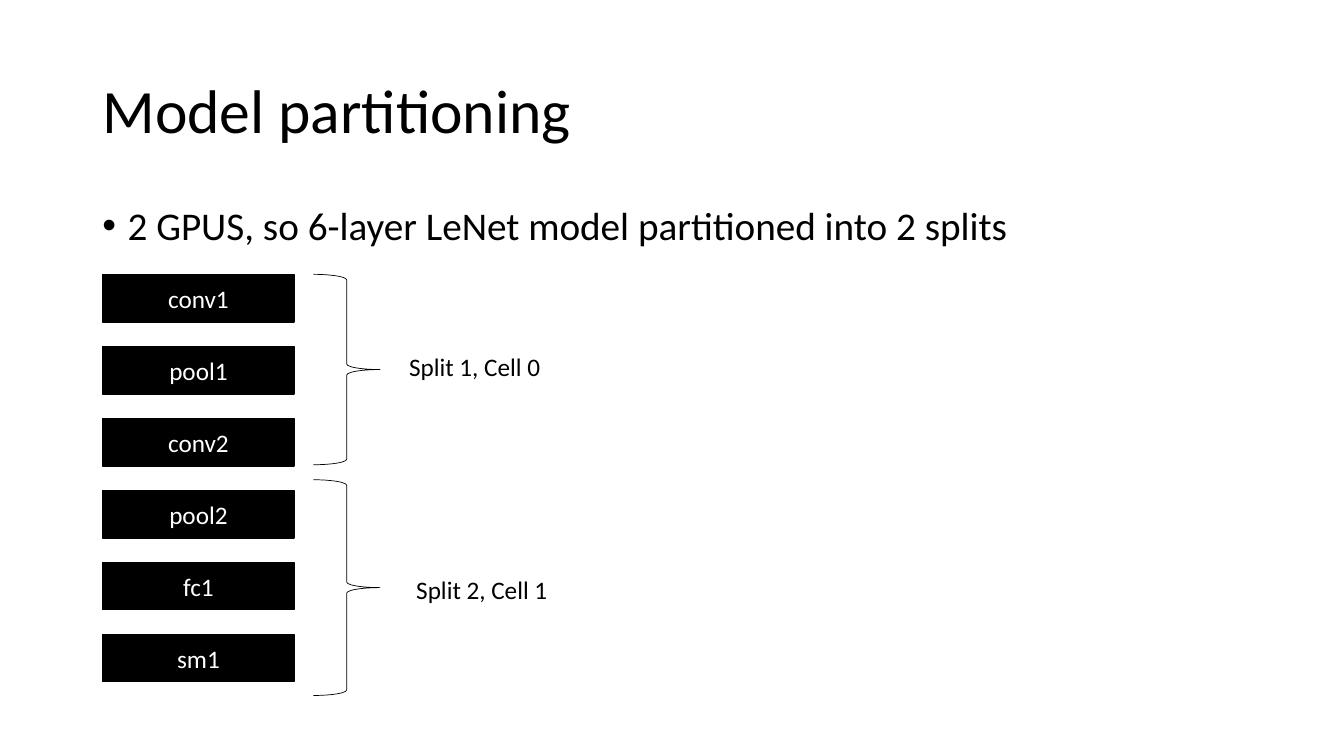
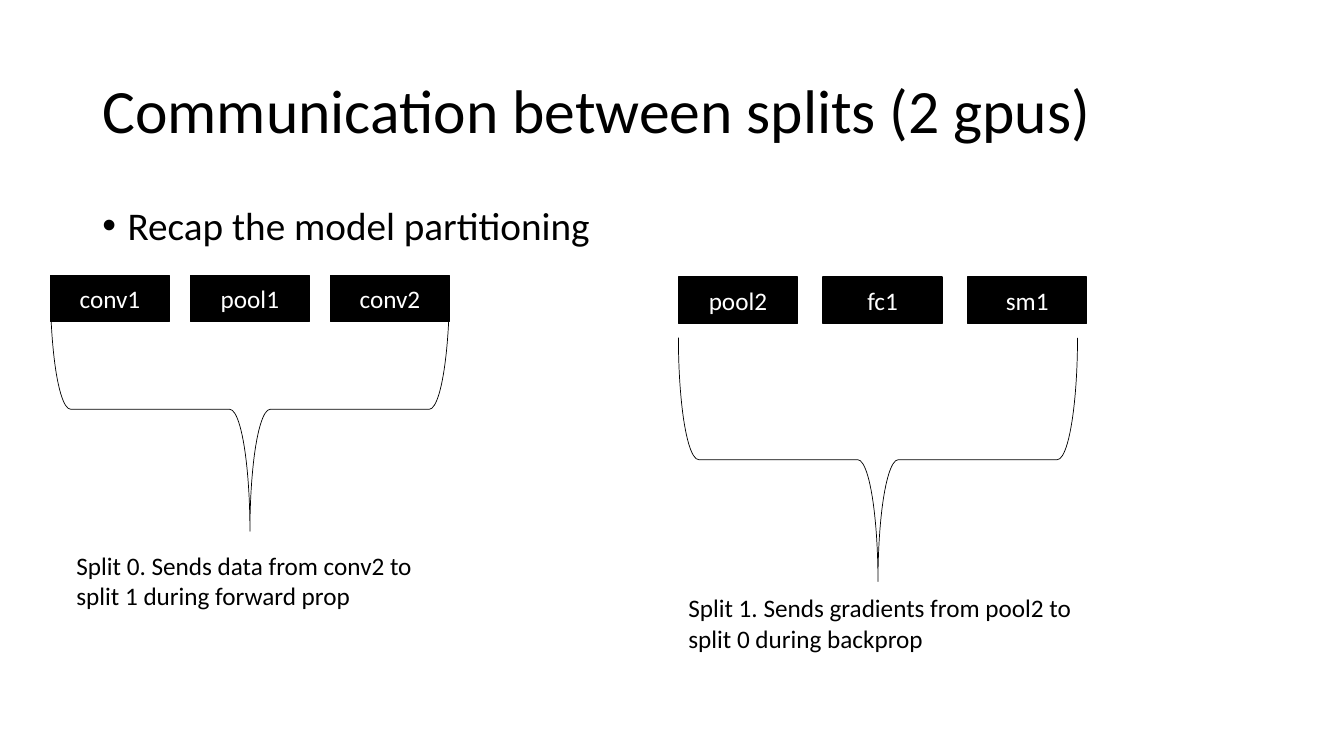
"""Build two slides on splitting a small network across two GPUs."""
import dataclasses

import lxml.etree
import pptx
import pptx.dml.color
import pptx.enum.shapes
import pptx.enum.text
import pptx.oxml.ns
import pptx.util

Pt = pptx.util.Pt
Align = pptx.enum.text.PP_ALIGN
Anchor = pptx.enum.text.MSO_ANCHOR
AutoSize = pptx.enum.text.MSO_AUTO_SIZE
Preset = pptx.enum.shapes.MSO_SHAPE


@dataclasses.dataclass(frozen=True)
class Theme:
    font: str = "Calibri"
    ink: str = "000000"
    paper: str = "FFFFFF"
    title_size: float = 44
    body_size: float = 28
    label_size: float = 18
    box_line: float = 1
    brace_line: float = 0.5
    title_area: tuple = (66, 28.8, 828, 104.4)
    body_area: tuple = (66, 143.75, 828, 342.6)


THEME = Theme()


def color(value):
    return pptx.dml.color.RGBColor.from_string(value)


def add_bullet(paragraph, indent):
    properties = paragraph._p.get_or_add_pPr()
    properties.set("marL", str(Pt(indent)))
    properties.set("indent", str(-Pt(indent)))
    for tag, name, value in (("a:buFont", "typeface", "Arial"), ("a:buChar", "char", "•")):
        element = lxml.etree.SubElement(properties, pptx.oxml.ns.qn(tag))
        element.set(name, value)


def write_text(frame, text, *, size=THEME.label_size, ink=THEME.ink, align=Align.LEFT,
               anchor=Anchor.TOP, spacing=1.0, bullet_indent=None, auto_size=AutoSize.NONE):
    frame.word_wrap = True
    frame.auto_size = auto_size
    frame.vertical_anchor = anchor
    paragraph = frame.paragraphs[0]
    if bullet_indent is not None:
        add_bullet(paragraph, bullet_indent)
    paragraph.alignment = align
    paragraph.line_spacing = spacing
    paragraph.space_before = Pt(0)
    run = paragraph.add_run()
    run.text = text
    run.font.name = THEME.font
    run.font.size = Pt(size)
    run.font.color.rgb = color(ink)


class Deck:
    def __init__(self, theme):
        self.theme = theme
        self.presentation = pptx.Presentation()
        self.presentation.slide_width = Pt(960)
        self.presentation.slide_height = Pt(540)
        self.slide = None

    def add_slide(self, title, bullet):
        theme = self.theme
        layout = self.presentation.slide_layouts[1]
        self.slide = self.presentation.slides.add_slide(layout)
        title_shape, body_shape = self.slide.placeholders
        self.place(title_shape, theme.title_area)
        self.place(body_shape, theme.body_area)
        write_text(title_shape.text_frame, title, size=theme.title_size,
                   anchor=Anchor.MIDDLE, spacing=0.9)
        write_text(body_shape.text_frame, bullet, size=theme.body_size,
                   spacing=0.9, bullet_indent=18)

    def place(self, shape, area):
        shape.left, shape.top, shape.width, shape.height = map(Pt, area)

    def shape(self, preset, area, line_width):
        shape = self.slide.shapes.add_shape(preset, *map(Pt, area))
        shape.shadow.inherit = False
        shape.line.color.rgb = color(self.theme.ink)
        shape.line.width = Pt(line_width)
        return shape

    def layer(self, name, area):
        box = self.shape(Preset.RECTANGLE, area, self.theme.box_line)
        box.fill.solid()
        box.fill.fore_color.rgb = color(self.theme.ink)
        write_text(box.text_frame, name, ink=self.theme.paper,
                   align=Align.CENTER, anchor=Anchor.MIDDLE)

    def layers(self, names, first_area, step_x=0, step_y=0):
        left, top, width, height = first_area
        for index, name in enumerate(names):
            self.layer(name, (left + index * step_x, top + index * step_y, width, height))

    def brace(self, area, rotation=0):
        brace = self.shape(Preset.RIGHT_BRACE, area, self.theme.brace_line)
        brace.fill.background()
        brace.rotation = rotation

    def label(self, text, area):
        box = self.slide.shapes.add_textbox(*map(Pt, area))
        write_text(box.text_frame, text, auto_size=AutoSize.SHAPE_TO_FIT_TEXT)

    def save(self):
        self.presentation.save("out.pptx")


def main():
    first_split = ["conv1", "pool1", "conv2"]
    second_split = ["pool2", "fc1", "sm1"]
    deck = Deck(THEME)

    deck.add_slide("Model partitioning",
                   "2 GPUS, so 6-layer LeNet model partitioned into 2 splits")
    deck.layers(first_split + second_split, (73.4, 196, 136.8, 34), step_y=51.4)
    for text, brace_top, brace_height, label_area in (
        ("Split 1, Cell 0", 196, 136, (285.1, 247.7, 206.6, 29)),
        ("Split 2, Cell 1", 342.7, 154.1, (290.2, 406.8, 123.8, 29)),
    ):
        deck.brace((223.9, brace_top, 47.5, brace_height))
        deck.label(text, label_area)

    deck.add_slide("Communication between splits (2 gpus)", "Recap the model partitioning")
    for names, left, top, step, brace_left, brace_top, text, label_area in (
        (first_split, 36, 196.8, 100, 91.4, 149.8,
         "Split 0. Sends data from conv2 to split 1 during forward prop",
         (47.5, 389.5, 266.4, 51)),
        (second_split, 484.6, 198, 103.3, 540, 185.8,
         "Split 1. Sends gradients from pool2 to split 0 during backprop",
         (484.6, 419.8, 290.9, 51)),
    ):
        deck.layers(names, (left, top, 85, 33), step_x=step)
        deck.brace((brace_left, brace_top, 174.2, 285.1), rotation=90)
        deck.label(text, label_area)

    deck.save()


if __name__ == "__main__":
    main()
